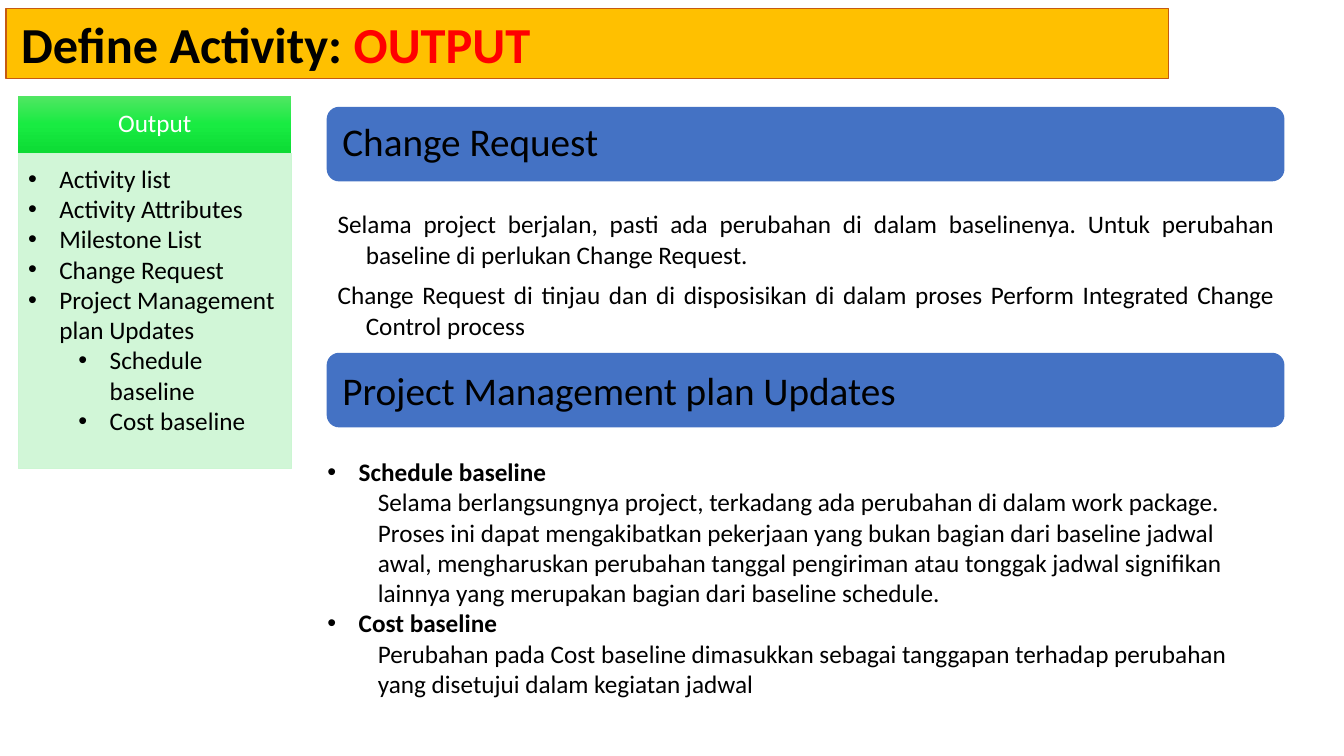
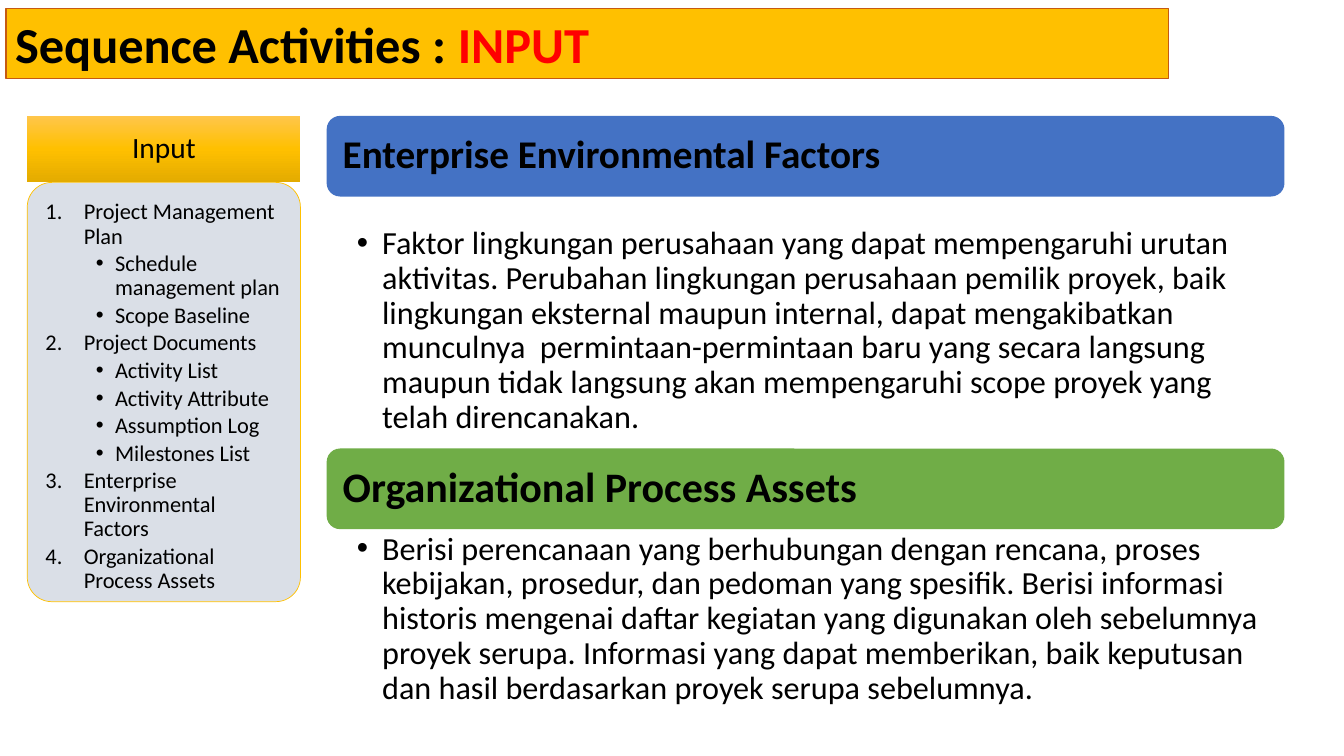
from copy import deepcopy

from pptx import Presentation
from pptx.dml.color import RGBColor
from pptx.enum import shapes, text
from pptx.oxml.ns import qn
from pptx.util import Inches, Pt
from lxml import etree

BLACK, WHITE, RED = "000000", "FFFFFF", "FF0000"
AMBER, RUST, BLUE, GREEN = "FFC000", "C55A11", "4472C4", "70AD47"
MINT, GREY = "CCF6D3", "D6DCE5"
LIME_FADE = ("51E663", "19EB42", "0CDB34")
AMBER_FADE = ("FFC64B", AMBER, "E3AB00")
RECT = shapes.MSO_SHAPE.RECTANGLE
ROUND = shapes.MSO_SHAPE.ROUNDED_RECTANGLE
TOP, MIDDLE = text.MSO_ANCHOR.TOP, text.MSO_ANCHOR.MIDDLE
LEFT, CENTER, JUSTIFY = text.PP_ALIGN.LEFT, text.PP_ALIGN.CENTER, text.PP_ALIGN.JUSTIFY
MAIN_X, MAIN_W, SIDE_W = 3.24, 9.5, 2.71


def rgb(color):
    return RGBColor.from_string(color)


class Deck:
    font = "Calibri"
    # Paragraph styles: margin and hang in inches, the rest as python-pptx names
    styles = {
        "title": dict(size=36, bold=True),
        "heading": dict(size=28, line_spacing=0.9),
        "label": dict(size=18, alignment=CENTER, line_spacing=0.9),
        "item": dict(size=18, margin=0.31, hang=0.31, bullet="•"),
        "subitem": dict(size=18, level=1, margin=0.81, hang=0.31, bullet="•"),
        "topic": dict(size=18, bold=True, margin=0.31, hang=0.31, bullet="•"),
        "detail": dict(size=18, level=1, margin=0.5),
        "body": dict(size=18, alignment=JUSTIFY, margin=0.29, hang=0.28),
        "point": dict(size=23, line_spacing=0.9, margin=0.25, hang=0.25, bullet="•"),
        "number": dict(size=16, line_spacing=0.9, space_after=Pt(2.4),
                       margin=0.38, hang=0.38, bullet="1."),
        "dot": dict(size=16, level=1, line_spacing=0.9, space_after=Pt(2.4),
                    margin=0.69, hang=0.19, bullet="•"),
    }

    def __init__(self):
        self.prs = Presentation()
        self.prs.slide_width, self.prs.slide_height = Inches(13.33), Inches(7.5)
        self.s = None

    def slide(self, topic, part, inset=0.09):
        """Start a slide with its title band."""
        self.s = self.prs.slides.add_slide(self.prs.slide_layouts[6])
        sp = self.box((0.06, 0.08, 11.53, 0.7), AMBER, line=RUST, width=0.75)
        self.set_text(sp, [("title", [(topic, BLACK), (part, RED)])],
                      (inset, 0.05, 0.09, 0.05))

    def box(self, at, fill, kind=RECT, line=None, width=0.5, opacity=None):
        sp = self.s.shapes.add_shape(kind, *map(Inches, at))
        sp.shadow.inherit = False
        if isinstance(fill, tuple):
            self.fade(sp, fill)
        else:
            sp.fill.solid()
            sp.fill.fore_color.rgb = rgb(fill)
        if opacity:
            clr = sp._element.spPr.find(qn("a:solidFill"))[0]
            etree.SubElement(clr, qn("a:alpha"), val=str(opacity * 1000))
        if line:
            sp.line.color.rgb = rgb(line)
            sp.line.width = Pt(width)
        else:
            sp.line.fill.background()
        return sp

    def fade(self, sp, colors):
        """Fill from top to bottom with evenly spaced colours."""
        sp.fill.gradient()
        sp.fill.gradient_angle = 270
        stops = sp._element.spPr.find(qn("a:gradFill")).find(qn("a:gsLst"))
        while len(stops) < len(colors):
            stops.append(deepcopy(stops[0]))
        for i, (stop, color) in enumerate(zip(sp.fill.gradient_stops, colors)):
            stop.position = i / (len(colors) - 1)
            stop.color.rgb = rgb(color)

    def header(self, top, height, caption, fill=BLUE, **fmt):
        sp = self.box((MAIN_X, top, MAIN_W, height), fill, ROUND)
        self.set_text(sp, [("heading", caption)], (0.12,) * 4, **fmt)

    def label(self, at, caption, fill, **fmt):
        self.set_text(self.box(at, fill), [("label", caption)], (0.14, 0.08) * 2, **fmt)

    def text(self, at, paragraphs, insets=(0.1, 0.05, 0.1, 0.05), **fmt):
        sp = self.s.shapes.add_textbox(*map(Inches, at))
        self.set_text(sp, paragraphs, insets, TOP, **fmt)

    def set_text(self, sp, paragraphs, insets, anchor=MIDDLE, **fmt):
        """Fill a shape with (style, text) pairs; fmt overrides the styles."""
        tf = sp.text_frame
        tf.word_wrap = True
        tf.vertical_anchor = anchor
        for side, inset in zip(("left", "top", "right", "bottom"), insets):
            setattr(tf, f"margin_{side}", Inches(inset))
        for i, (style, content) in enumerate(paragraphs):
            p = tf.add_paragraph() if i else tf.paragraphs[0]
            look = {"alignment": LEFT, **self.styles[style], **fmt}
            if not i:
                look.pop("space_before", None)
            self.indent(p, look)
            for key in ("alignment", "level", "line_spacing", "space_before", "space_after"):
                if key in look:
                    setattr(p, key, look[key])
            runs = [(content, look.get("color", BLACK))] if isinstance(content, str) else content
            for words, color in runs:
                r = p.add_run()
                r.text = words
                values = dict(name=self.font, size=Pt(look["size"]), bold=look.get("bold", False))
                for key, value in values.items():
                    setattr(r.font, key, value)
                r.font.color.rgb = rgb(color)

    def indent(self, p, look):
        pPr = p._p.get_or_add_pPr()
        pPr.set("marL", str(Inches(look.get("margin", 0))))
        pPr.set("indent", str(-Inches(look.get("hang", 0))))
        bullet = look.get("bullet")
        if bullet == "1.":
            etree.SubElement(pPr, qn("a:buFont"), typeface="+mj-lt")
            etree.SubElement(pPr, qn("a:buAutoNum"), type="arabicPeriod")
        elif bullet:
            etree.SubElement(pPr, qn("a:buFont"), typeface="Arial")
            etree.SubElement(pPr, qn("a:buChar"), char=bullet)


def output_slide(deck):
    deck.slide("Define Activity: ", "OUTPUT", inset=0.15)
    deck.label((0.18, 0.95, SIDE_W, 0.57), "Output", LIME_FADE, color=WHITE)
    panel = deck.box((0.18, 1.52, SIDE_W, 3.13), MINT, line=MINT, opacity=90)
    deck.set_text(panel, [
        ("item", "Activity list"),
        ("item", "Activity Attributes"),
        ("item", "Milestone List"),
        ("item", "Change Request"),
        ("item", "Project Management plan Updates"),
        ("subitem", "Schedule baseline"),
        ("subitem", "Cost baseline"),
    ], (0.1, 0.1, 0.14, 0.16), TOP)
    deck.header(1.06, 0.74, "Change Request")
    deck.text((MAIN_X, 2.02, MAIN_W, 1.41), [
        ("body", "Selama project berjalan, pasti ada perubahan di dalam baselinenya. "
                 "Untuk perubahan baseline di perlukan Change Request."),
        ("body", "Change Request di tinjau dan di disposisikan di dalam proses "
                 "Perform Integrated Change Control process"),
    ], space_before=Pt(7.5))
    deck.header(3.5, 0.74, "Project Management plan Updates", line_spacing=1.0)
    deck.text((3.15, 4.48, 9.56, 2.52), [
        ("topic", "Schedule baseline"),
        ("detail", "Selama berlangsungnya project, terkadang ada perubahan di dalam work "
                   "package. Proses ini dapat mengakibatkan pekerjaan yang bukan bagian dari "
                   "baseline jadwal awal, mengharuskan perubahan tanggal pengiriman atau "
                   "tonggak jadwal signifikan lainnya yang merupakan bagian dari baseline "
                   "schedule."),
        ("topic", "Cost baseline"),
        ("detail", "Perubahan pada Cost baseline dimasukkan sebagai tanggapan terhadap "
                   "perubahan yang disetujui dalam kegiatan jadwal"),
    ])


def input_slide(deck):
    deck.slide("Sequence Activities : ", "INPUT")
    point_insets = (0.3, 0.04, 0.23, 0.04)
    deck.header(1.15, 0.8, "Enterprise Environmental Factors", bold=True)
    deck.text((MAIN_X, 2.21, MAIN_W, 2.24), [
        ("point", "Faktor lingkungan perusahaan yang dapat mempengaruhi urutan aktivitas. "
                  "Perubahan lingkungan perusahaan pemilik proyek, baik lingkungan eksternal "
                  "maupun internal, dapat mengakibatkan munculnya  permintaan-permintaan baru "
                  "yang secara langsung maupun tidak langsung akan mempengaruhi scope proyek "
                  "yang telah direncanakan."),
    ], point_insets)
    deck.header(4.45, 0.8, "Organizational Process Assets", GREEN, bold=True, size=30)
    deck.text((MAIN_X, 5.24, MAIN_W, 1.87), [
        ("point", "Berisi perencanaan yang berhubungan dengan rencana, proses kebijakan, "
                  "prosedur, dan pedoman yang spesifik. Berisi informasi historis mengenai "
                  "daftar kegiatan yang digunakan oleh sebelumnya proyek serupa. Informasi "
                  "yang dapat memberikan, baik keputusan dan hasil berdasarkan proyek serupa "
                  "sebelumnya."),
    ], point_insets)
    deck.label((0.27, 1.15, SIDE_W, 0.66), "Input", AMBER_FADE, size=21)
    panel = deck.box((0.27, 1.81, SIDE_W, 4.16), GREY, ROUND, line=AMBER, opacity=90)
    panel.adjustments[0] = 0.09
    deck.set_text(panel, [
        ("number", "Project Management Plan"),
        ("dot", "Schedule management plan"),
        ("dot", "Scope Baseline"),
        ("number", "Project Documents"),
        ("dot", "Activity List"),
        ("dot", "Activity Attribute"),
        ("dot", "Assumption Log"),
        ("dot", "Milestones List"),
        ("number", "Enterprise Environmental Factors"),
        ("number", "Organizational Process Assets"),
    ], (0.11,) * 4, TOP)


def main():
    deck = Deck()
    output_slide(deck)
    input_slide(deck)
    deck.prs.save("out.pptx")


if __name__ == "__main__":
    main()
